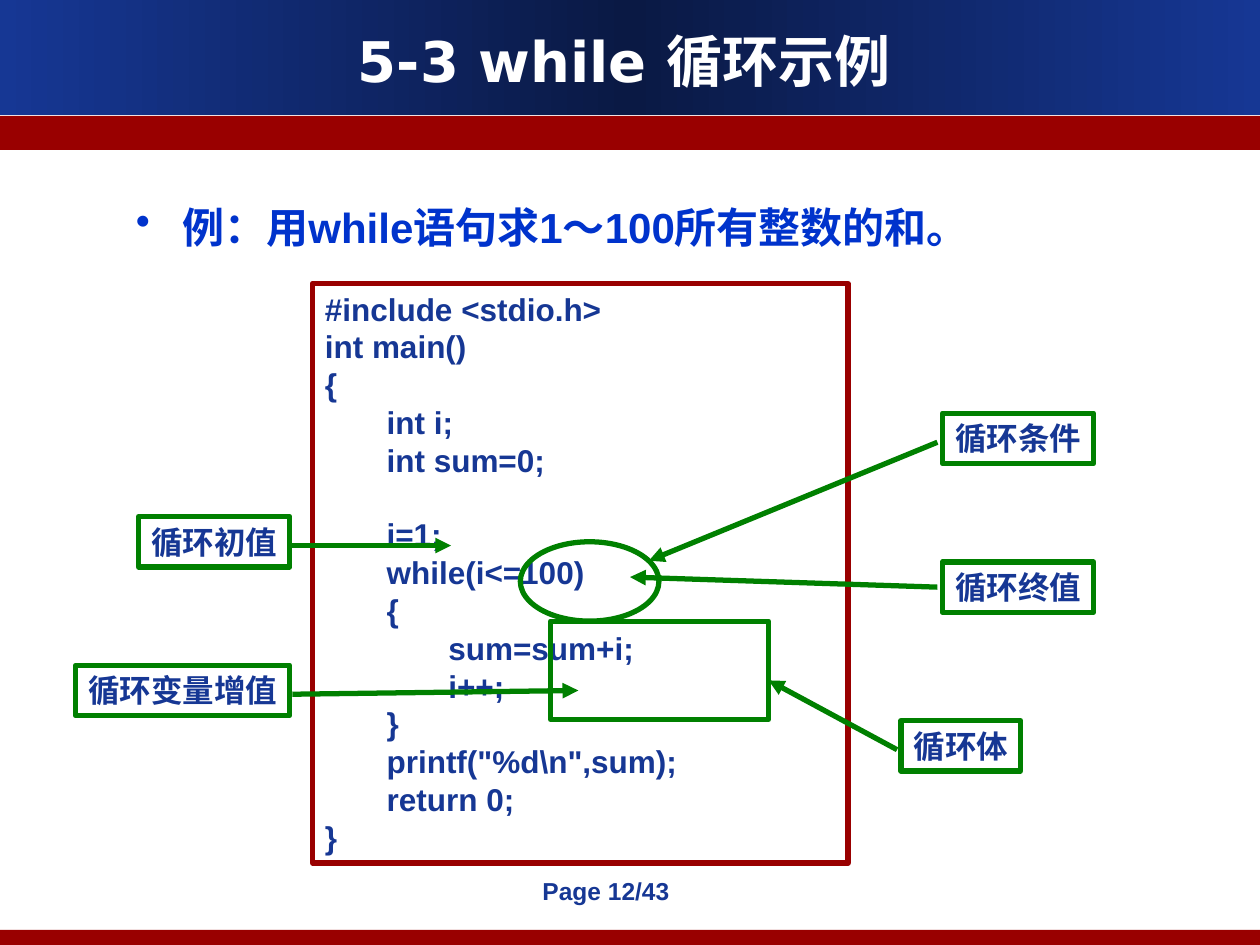
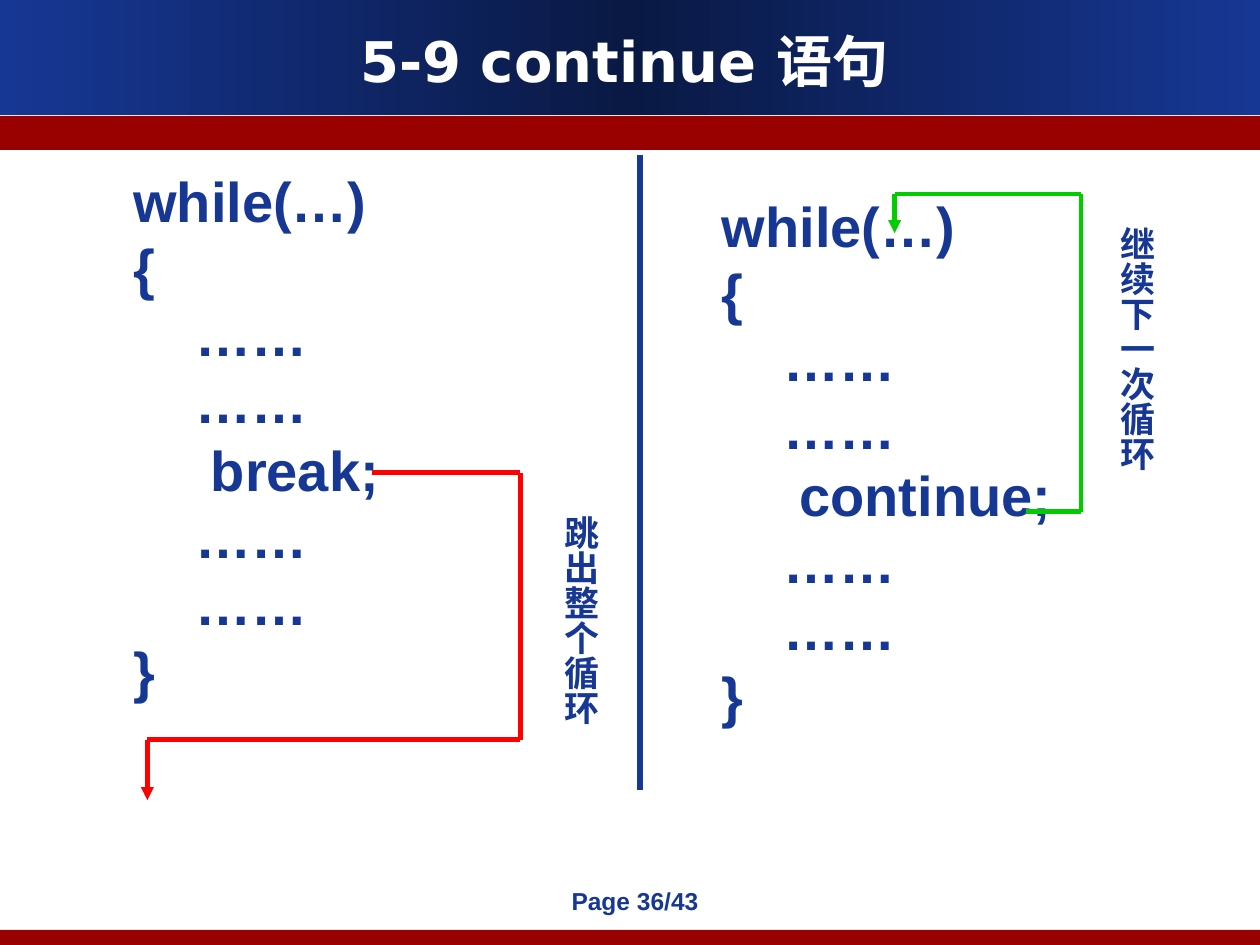
"""Build two slides on C loops: a while example and break versus continue."""
from copy import deepcopy

from lxml import etree
from pptx import Presentation
from pptx.dml.color import RGBColor
from pptx.enum.shapes import MSO_CONNECTOR, MSO_SHAPE
from pptx.enum.text import MSO_ANCHOR, MSO_AUTO_SIZE, PP_ALIGN
from pptx.oxml.ns import qn
from pptx.util import Inches, Pt

RECTANGLE, ELLIPSE = MSO_SHAPE.RECTANGLE, MSO_SHAPE.OVAL
STRAIGHT = MSO_CONNECTOR.STRAIGHT
LEFT, CENTER = PP_ALIGN.LEFT, PP_ALIGN.CENTER
TOP, MIDDLE = MSO_ANCHOR.TOP, MSO_ANCHOR.MIDDLE
GROW = MSO_AUTO_SIZE.SHAPE_TO_FIT_TEXT

COLORS = {
    "navy": "163794", "midnight": "0A1944", "crimson": "990000", "white": "FFFFFF",
    "blue": "0033CC", "green": "008000", "lime": "00CC00", "red": "FF0000",
}
TAB_STEP = 0.49
INSETS = (0.1, 0.05)

WHILE_TITLE = "5-3 while 循环示例"
WHILE_TASK = "例：用while语句求1～100所有整数的和。"
WHILE_CODE = [
    "#include <stdio.h>", "int main()", "{", "\tint i;", "\tint sum=0;",
    "\ti=1;", "\twhile(i<=100)", "\t{", "\t\tsum=sum+i;", "\t\ti++;", "\t}",
    "\tprintf(\"%d\\n\",sum);", "\treturn 0;", "}",
]
LINES_AFTER_GAP = {"\ti=1;": 21}
CALLOUTS = [
    ("循环终值", (7.48, 4.46, 1.2), (7.44, 4.66), (5, 4.58)),
    ("循环条件", (7.48, 3.28, 1.2), (7.44, 3.51), (5.15, 4.45)),
    ("循环体", (7.15, 5.72, 0.95), (7.12, 5.95), (6.1, 5.4)),
    ("循环变量增值", (0.6, 5.28, 1.7), (2.32, 5.51), (4.59, 5.48)),
    ("循环初值", (1.1, 4.1, 1.2), (2.32, 4.33), (3.58, 4.33)),
]
CODE_MARKS = [(ELLIPSE, (4.13, 4.3, 1.1, 0.63)), (RECTANGLE, (4.37, 4.93, 1.73, 0.78))]

JUMP_TITLE = "5-9 continue 语句"
JUMPS = [
    {"keyword": "continue", "code_at": (5.63, 1.47), "color": "lime",
     "route": [(8.14, 4.06), (8.58, 4.06), (8.58, 1.54), (7.1, 1.54), (7.1, 1.85)],
     "note": "继续下一次循环", "note_at": (8.71, 1.7, 0.53, 2.28)},
    {"keyword": "break", "code_at": (0.96, 1.27), "color": "red",
     "route": [(2.95, 3.75), (4.13, 3.75), (4.13, 5.87), (1.17, 5.87), (1.17, 6.35)],
     "note": "跳出整个循环", "note_at": (4.3, 3.99, 0.53, 1.97)},
]


def rgb(name):
    return RGBColor.from_string(COLORS[name])


def add_element(parent, tag, **attributes):
    return etree.SubElement(parent, qn(tag), attributes)


def add_panel(page, place, kind=RECTANGLE, fill=None, line=None):
    panel = page.shapes.add_shape(kind, *map(Inches, place))
    panel.shadow.inherit = False
    if fill:
        panel.fill.solid()
        panel.fill.fore_color.rgb = rgb(fill)
    else:
        panel.fill.background()
    if line:
        panel.line.color.rgb = rgb(line)
        panel.line.width = Pt(3)
    else:
        panel.line.fill.background()
    return panel


def add_bullet(para, color):
    properties = para._p.get_or_add_pPr()
    properties.set("marL", str(Inches(0.37)))
    properties.set("indent", str(-Inches(0.37)))
    add_element(add_element(properties, "a:buClr"), "a:srgbClr", val=COLORS[color])
    add_element(properties, "a:buChar", char="•")


def add_tabs(para):
    stops = add_element(para._p.get_or_add_pPr(), "a:tabLst")
    for step in range(1, 8):
        add_element(stops, "a:tab", pos=str(Inches(TAB_STEP * step)), algn="l")


def write(box, lines, size=18, font="Arial", color="navy", align=LEFT, anchor=TOP,
          insets=INSETS, wrap=True, grow=False, bullet=False, tabs=False,
          vertical=False, gaps=None):
    frame = box.text_frame
    frame.word_wrap = wrap
    frame.vertical_anchor = anchor
    frame.margin_left = frame.margin_right = Inches(insets[0])
    frame.margin_top = frame.margin_bottom = Inches(insets[1])
    if grow:
        frame.auto_size = GROW
    if vertical:
        frame._txBody.bodyPr.set("vert", "eaVert")
    for number, line in enumerate(lines):
        para = frame.add_paragraph() if number else frame.paragraphs[0]
        para.alignment = align
        if gaps and line in gaps:
            para.space_before = Pt(gaps[line])
        if bullet:
            add_bullet(para, color)
        if tabs:
            add_tabs(para)
        span = para.add_run()
        span.text = line
        span.font.size = Pt(size)
        span.font.name = font
        span.font.bold = True
        span.font.color.rgb = rgb(color)


def add_text(page, place, lines, **style):
    write(page.shapes.add_textbox(*map(Inches, place)), lines, **style)


def add_line(page, start, end, color, width=3.0, arrow=False):
    line = page.shapes.add_connector(STRAIGHT, *map(Inches, (*start, *end)))
    line.line.color.rgb = rgb(color)
    line.line.width = Pt(width)
    if arrow:
        add_element(line.line._get_or_add_ln(), "a:tailEnd", type="triangle")
    add_element(line.element.spPr, "a:effectLst")


def add_route(page, points, color):
    for end in range(1, len(points)):
        add_line(page, points[end - 1], points[end], color, width=2.5,
                 arrow=end == len(points) - 1)


def add_page(deck, title, footer, footer_place):
    page = deck.slides.add_slide(deck.slide_layouts[6])
    header = add_panel(page, (0, 0, 10, 0.91))
    header.fill.gradient()
    header.fill.gradient_angle = 0
    for stop, color, position in zip(header.fill.gradient_stops, ("navy", "midnight"), (0, 0.5)):
        stop.color.rgb = rgb(color)
        stop.position = position
    stops = header.element.xpath(".//a:gsLst")[0]
    last = deepcopy(stops[0])
    last.set("pos", "100000")
    stops.append(last)
    for top, height in ((0.92, 0.27), (7.38, 0.13)):
        add_panel(page, (0, top, 10, height), fill="crimson")
    add_text(page, (0.33, 0.16, 9.25, 0.63), [title], size=32, font="DejaVu Sans",
             color="white", align=CENTER, anchor=MIDDLE, insets=(0, 0))
    add_text(page, footer_place, [footer], size=14, align=CENTER)
    return page


def build_while_page(deck):
    page = add_page(deck, WHILE_TITLE, "Page 12/43", (4.06, 6.9, 1.5, 0.57))
    add_text(page, (0.98, 1.55, 8.27, 4.83), [WHILE_TASK], size=24, color="blue", bullet=True)
    listing = add_panel(page, (2.48, 2.25, 4.25, 4.6), fill="white", line="crimson")
    write(listing, WHILE_CODE, tabs=True, grow=True, gaps=LINES_AFTER_GAP)
    for kind, place in CODE_MARKS:
        add_panel(page, place, kind=kind, line="green")
    for label, place, start, end in CALLOUTS:
        add_line(page, start, end, "green", arrow=True)
        callout = add_panel(page, (*place, 0.4), line="green")
        write(callout, [label], font="Times New Roman", align=CENTER, wrap=False, grow=True)


def build_jump_page(deck):
    page = add_page(deck, JUMP_TITLE, "Page 36/43", (4.37, 6.98, 1.34, 0.57))
    add_line(page, (5.08, 1.23), (5.08, 6.27), "navy")
    for jump in JUMPS:
        dots = ["    ……"] * 2
        code = ["while(…)", "{", *dots, f"     {jump['keyword']};", *dots, "}"]
        add_text(page, (*jump["code_at"], 3.01, 4.37), code, size=32, grow=True)
        add_route(page, jump["route"], jump["color"])
        add_text(page, jump["note_at"], [jump["note"]], size=20, insets=(0.05, 0.1),
                 vertical=True)


def main():
    deck = Presentation()
    deck.slide_width, deck.slide_height = Inches(10), Inches(7.5)
    build_while_page(deck)
    build_jump_page(deck)
    deck.save("out.pptx")


if __name__ == "__main__":
    main()
